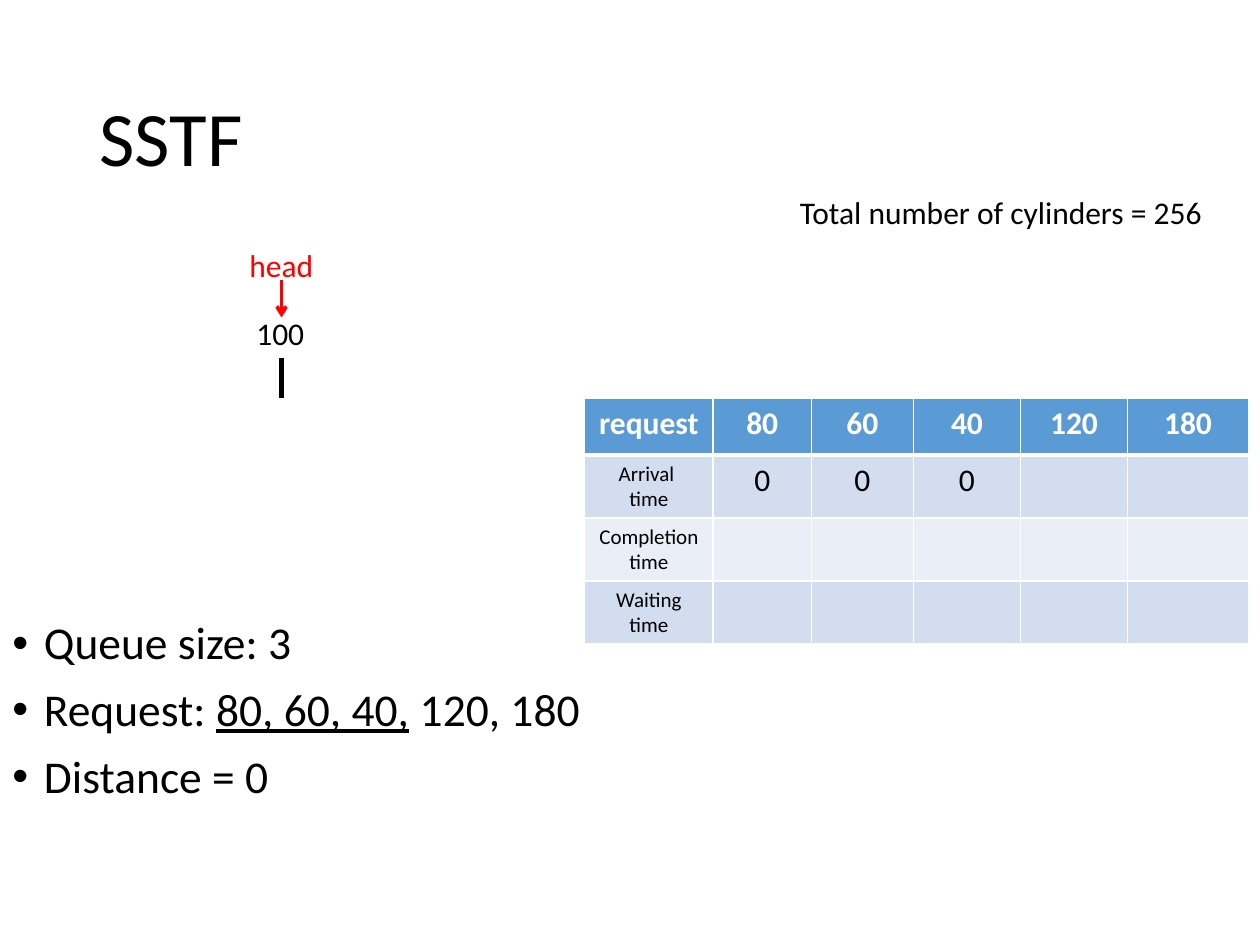
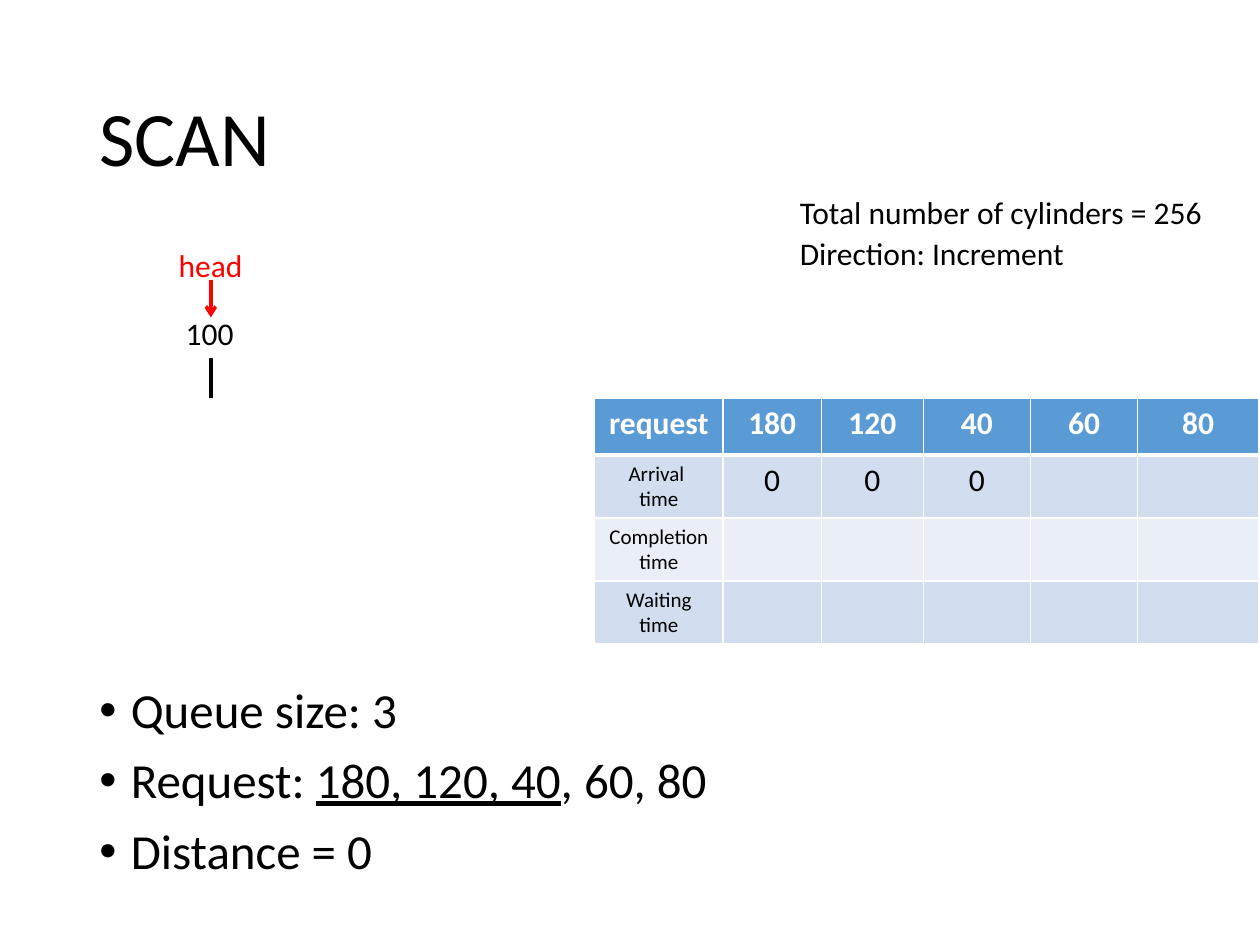
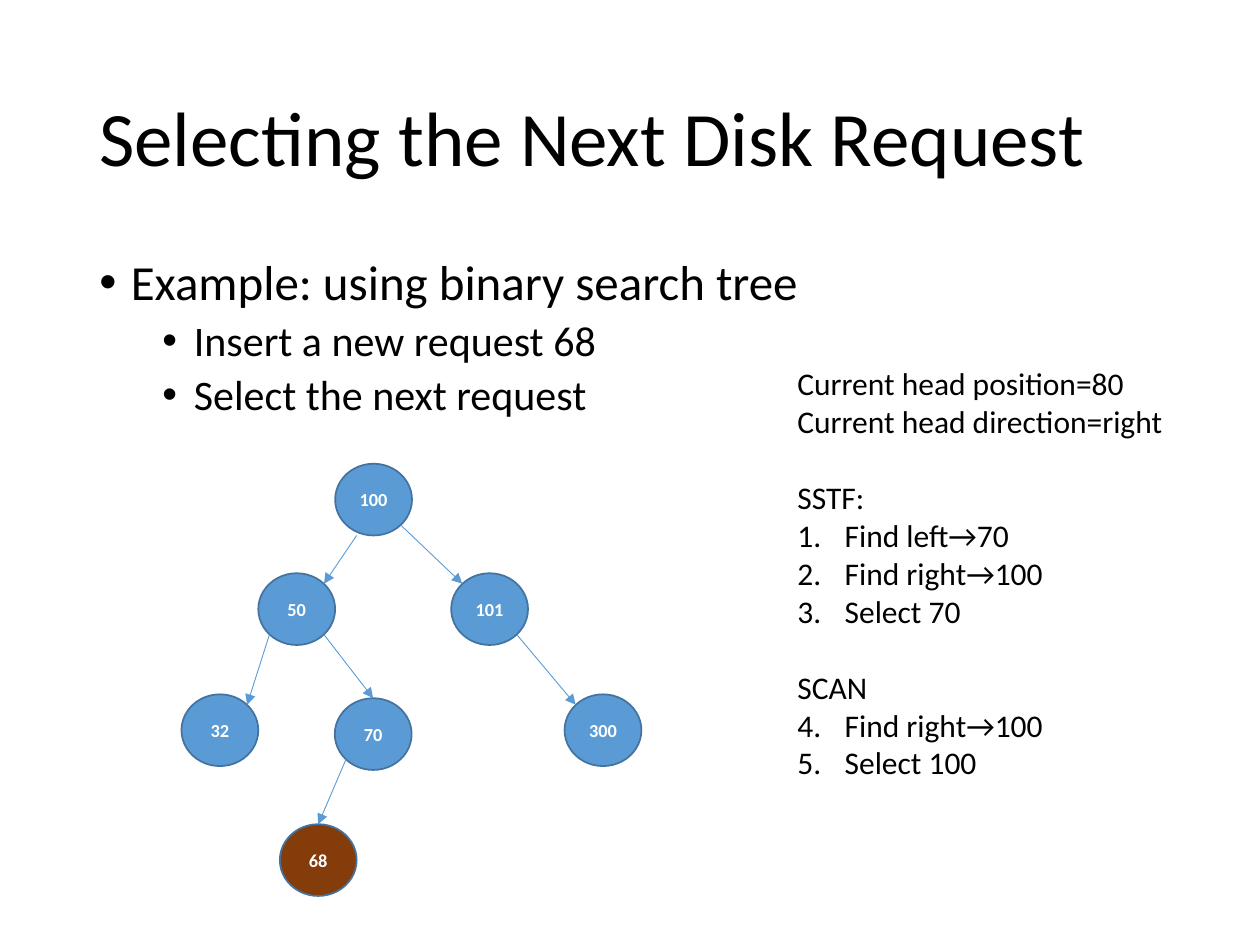
from lxml import etree
from pptx import Presentation
from pptx.dml.color import RGBColor
from pptx.enum.shapes import MSO_CONNECTOR, MSO_SHAPE
from pptx.enum.text import MSO_ANCHOR, PP_ALIGN
from pptx.oxml.ns import qn
from pptx.util import Pt

LINE, OVAL = MSO_CONNECTOR.STRAIGHT, MSO_SHAPE.OVAL
MIDDLE, TOP, CENTER = MSO_ANCHOR.MIDDLE, MSO_ANCHOR.TOP, PP_ALIGN.CENTER
BLACK = RGBColor(0x00, 0x00, 0x00)
WHITE = RGBColor(0xFF, 0xFF, 0xFF)
RED = RGBColor(0xFF, 0x00, 0x00)
BLUE = RGBColor(0x5B, 0x9B, 0xD5)
EDGE = RGBColor(0x43, 0x73, 0x9E)
BROWN = RGBColor(0x84, 0x3C, 0x0B)
BAND = RGBColor(0xD2, 0xDE, 0xEF)
PALE = RGBColor(0xEA, 0xEF, 0xF7)
FONT = "Calibri"
TITLE_BOX = (49.7, 28.8, 620.6, 104.4)
COLS = (73.4, 56.2, 58.3, 61.2, 61.2, 69.1)
ROWS = (32.4, 36, 36, 36)
NODE_W, NODE_H = 43.9, 41
DIAG = 0.71


def add_run(para, text, size, color=BLACK, bold=False, under=False):
    """Add one formatted run to a paragraph."""
    run = para.add_run()
    run.text = text
    font = run.font
    font.name, font.size, font.bold = FONT, Pt(size), bold
    font.color.rgb = color
    if under:
        font.underline = True


def add_box(slide, box, anchor=TOP):
    """Add a wrapping text box and return its frame."""
    frame = slide.shapes.add_textbox(*map(Pt, box)).text_frame
    frame.word_wrap = True
    frame.vertical_anchor = anchor
    return frame


def next_para(frame, index):
    """Return the first paragraph for index 0, else a new one."""
    return frame.add_paragraph() if index else frame.paragraphs[0]


def add_label(slide, box, text, color=BLACK):
    """Add a one-line 18 point label."""
    add_run(add_box(slide, box).paragraphs[0], text, 18, color)


def add_line(slide, start, end, color, width, head=None):
    """Add a straight line, with an arrowhead at its end if named."""
    line = slide.shapes.add_connector(LINE, *map(Pt, (*start, *end)))
    line.line.color.rgb = color
    line.line.width = Pt(width)
    props = line._element.spPr
    if head:
        etree.SubElement(props.find(qn("a:ln")), qn("a:tailEnd"), type=head)
    etree.SubElement(props, qn("a:effectLst"))


def set_mark(para, left, hang, tag, **attrs):
    """Give a paragraph a hanging indent and a bullet or number."""
    props = para._p.get_or_add_pPr()
    props.set("marL", str(Pt(left)))
    props.set("indent", str(-Pt(hang)))
    if tag == "a:buChar":
        etree.SubElement(props, qn("a:buFont"), typeface="Arial")
    etree.SubElement(props, qn(tag), **attrs)


def add_list(slide, box, items, inset=3.6):
    """Add bullets; an item is (level, size, (text, underlined) pairs)."""
    frame = add_box(slide, box)
    frame.margin_top = Pt(inset)
    for i, (level, size, parts) in enumerate(items):
        para = next_para(frame, i)
        para.level = level
        para.line_spacing = 0.9
        para.space_before = Pt(5 if level else 10)
        set_mark(para, 18 + 36 * level, 18, "a:buChar", char="•")
        for text, under in parts:
            add_run(para, text, size, under=under)


def add_head(slide, left, top):
    """Draw the disk head marker over cylinder 100."""
    mid = left + 25.5
    add_line(slide, (mid, top + 67.7), (mid, top + 90.7), BLACK, 2.5)
    add_label(slide, (left + 4, top + 38.9, 46.8, 28.8), "100")
    add_line(slide, (mid, top + 23), (mid, top + 44.6), RED, 2, "arrow")
    add_label(slide, (left, top, 54, 28.8), "head", RED)


def style_cell(cell, row):
    """Set the white borders and the band fill of a cell."""
    props = cell._tc.get_or_add_tcPr()
    for side in "LRTB":
        thick = (row, side) in ((0, "B"), (1, "T"))
        edge = etree.SubElement(props, qn("a:ln" + side), w=str(Pt(3 if thick else 1)))
        fill = etree.SubElement(edge, qn("a:solidFill"))
        etree.SubElement(fill, qn("a:srgbClr"), val=str(WHITE))
    cell.fill.solid()
    cell.fill.fore_color.rgb = (BLUE, BAND, PALE, BAND)[row]


def add_times(slide, left, top, queue):
    """Add the table of request times; the first three arrive at 0."""
    table = slide.shapes.add_table(
        len(ROWS), len(COLS), *map(Pt, (left, top, sum(COLS), sum(ROWS)))).table
    for col, width in zip(table.columns, COLS):
        col.width = Pt(width)
    for row, height in zip(table.rows, ROWS):
        row.height = Pt(height)
    grid = (("request", *queue), ("Arrival \ntime", "0", "0", "0"),
            ("Completion time",), ("Waiting\ntime",))
    for r in range(len(ROWS)):
        for c in range(len(COLS)):
            cell = table.cell(r, c)
            style_cell(cell, r)
            if c >= len(grid[r]):
                continue
            for i, text in enumerate(grid[r][c].split("\n")):
                para = next_para(cell.text_frame, i)
                para.alignment = CENTER
                size = 12 if r and not c else 18
                add_run(para, text, size, BLACK if r else WHITE, bold=not r)


def add_node(slide, left, top, text, color):
    """Draw one node of the tree."""
    node = slide.shapes.add_shape(OVAL, *map(Pt, (left, top, NODE_W, NODE_H)))
    node.shadow.inherit = False
    node.fill.solid()
    node.fill.fore_color.rgb = color
    node.line.color.rgb = EDGE
    node.line.width = Pt(1)
    frame = node.text_frame
    frame.margin_left = frame.margin_right = 0
    frame.vertical_anchor = MIDDLE
    para = frame.paragraphs[0]
    para.alignment = CENTER
    add_run(para, text, 10.5, WHITE, bold=True)


def add_tree(slide, left, top):
    """Draw the search tree; edge ends are fractions of a node's radii."""
    nodes = {"100": (87.8, 0), "50": (43.9, 62.6), "101": (154.1, 62.6),
             "32": (0, 131.8), "70": (87.6, 134), "68": (56.2, 206),
             "300": (218.9, 131.8)}
    edges = (("100", DIAG, DIAG, "101", -DIAG, -DIAG),
             ("50", -DIAG, DIAG, "32", DIAG, -DIAG),
             ("100", -0.44, 1, "50", DIAG, -DIAG),
             ("101", DIAG, DIAG, "300", -DIAG, -DIAG),
             ("50", DIAG, DIAG, "70", 0, -1),
             ("70", -DIAG, DIAG, "68", 0, -1))

    def site(name, across, down):
        """Return a point on the rim of a node."""
        x, y = nodes[name]
        return (left + x + NODE_W / 2 * (1 + across),
                top + y + NODE_H / 2 * (1 + down))

    for name, (x, y) in nodes.items():
        add_node(slide, left + x, top + y, name, BROWN if name == "68" else BLUE)
    for edge in edges:
        add_line(slide, site(*edge[:3]), site(*edge[3:]), BLUE, 0.5, "triangle")


def add_steps(slide, box):
    """Add the head state and the numbered steps of both methods."""
    frame = add_box(slide, box)
    steps = (("Current head position=80", 0, 0), ("Current head direction=right", 0, 0),
             ("SSTF: ", 22, 0), ("Find left→70", 0, 1), ("Find right→100", 0, 1),
             ("Select 70", 0, 1), ("SCAN", 22, 0), ("Find right→100", 0, 4),
             ("Select 100", 0, 4))
    for i, (text, gap, first) in enumerate(steps):
        para = next_para(frame, i)
        para.space_before = Pt(gap)
        if first:
            set_mark(para, 27, 27, "a:buAutoNum", type="arabicPeriod",
                     startAt=str(first))
        add_run(para, text, 18)


def new_slide(deck, title):
    """Add a blank slide with its title."""
    slide = deck.slides.add_slide(deck.slide_layouts[6])
    para = add_box(slide, TITLE_BOX, MIDDLE).paragraphs[0]
    para.line_spacing = 0.9
    add_run(para, title, 44)
    return slide


def queue_slide(deck, title, box, size, parts, queue, head, table, notes):
    """Build a slide that starts one scheduling method."""
    slide = new_slide(deck, title)
    items = ((("Queue size: 3", False),), parts, (("Distance = 0", False),))
    add_list(slide, box, [(0, size, item) for item in items], inset=248)
    for i, note in enumerate(notes):
        add_label(slide, (450, 106.6 + 23.8 * i, 247, 28.8), note)
    add_head(slide, head, 136.8)
    add_times(slide, table, 227.5, queue)


def tree_slide(deck):
    """Build the slide on selecting requests with a tree."""
    slide = new_slide(deck, "Selecting the Next Disk Request")
    lines = ((0, 28, "Example: using binary search tree "),
             (1, 24, "Insert a new request 68"), (1, 24, "Select the next request"))
    add_list(slide, (49.7, 144, 620.6, 117.4),
             [(level, size, ((text, False),)) for level, size, text in lines])
    add_tree(slide, 103.7, 265)
    add_steps(slide, (448.6, 204.5, 257, 269.3))


def main():
    """Build and save the deck."""
    deck = Presentation()
    deck.slide_width, deck.slide_height = Pt(720), Pt(540)
    total = "Total number of cylinders = 256"
    queue_slide(deck, "SSTF", (0, 106.6, 670.3, 359.3), 26,
                (("Request: ", False), ("80, 60, 40,", True), (" 120, 180", False)),
                ("80", "60", "40", "120", "180"), 135.4, 334.1, (total,))
    queue_slide(deck, "SCAN", (49.7, 144, 620.6, 396), 28,
                (("Request: ", False), ("180, 120, 40", True), (", 60, 80", False)),
                ("180", "120", "40", "60", "80"), 95, 339.8,
                (total, "Direction: Increment"))
    tree_slide(deck)
    deck.save("out.pptx")


main()
